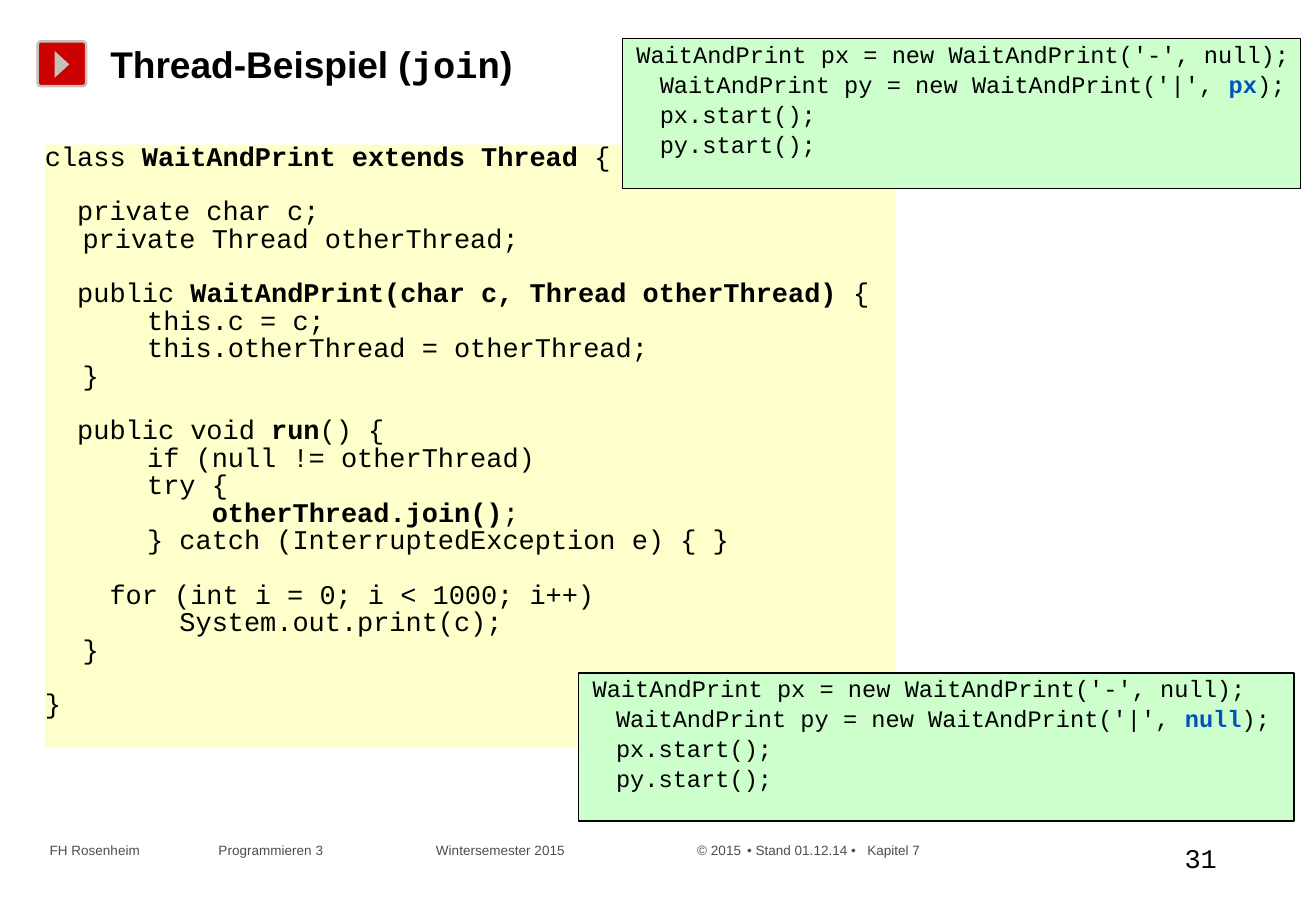
from lxml import etree
from pptx import Presentation
from pptx.dml.color import RGBColor
from pptx.enum.shapes import MSO_SHAPE
from pptx.enum.text import MSO_ANCHOR, PP_ALIGN
from pptx.oxml.ns import qn
from pptx.util import Emu, Pt

RECTANGLE, ROUNDED = MSO_SHAPE.RECTANGLE, MSO_SHAPE.ROUNDED_RECTANGLE
TOP, MIDDLE = MSO_ANCHOR.TOP, MSO_ANCHOR.MIDDLE
LEFT = PP_ALIGN.LEFT
PX = 9144
SANS, MONO = "Arial", "Courier New"
BLACK, GREY, BLUE = "000000", "4D4D4D", "0052BA"
RED, SILVER, YELLOW, GREEN = "CC0000", "C5C1B9", "FFFF99", "CCFFCC"
HANGING = 31

TITLE = [("Thread-Beispiel (", SANS), ("join", MONO), (")", SANS)]
FOOTER = ["FH Rosenheim", "Programmieren 3", "Wintersemester 2015",
          "© 2015", "• Stand 01.12.14 •", "Kapitel 7"]
FOOTER_TABS = [139, 318, 533, 574, 673]
PAGE_NUMBER = "31"

CLASS_CODE = [
    [("class ", False), ("WaitAndPrint extends Thread ", True), ("{", False)],
    [("  private char c;\nprivate Thread otherThread;", False)],
    [("  public ", False), ("WaitAndPrint(char c, Thread otherThread)", True),
     (" {\n    this.c = c;\n    this.otherThread = otherThread;\n}", False)],
    [("  public void ", False), ("run", True),
     ("() {\n    if (null != otherThread)\n    try {\n        ", False),
     ("otherThread.join()", True),
     (";\n    } catch (InterruptedException e) { }", False)],
    [("    for (int i = 0; i < 1000; i++)\n      System.out.print(c);\n}", False)],
    [("}", False)],
]
CALLS = [((476, 554, 589, 122), "null"), ((512, 32, 558, 123), "px")]


def color(value):
    return RGBColor.from_string(value)


def paint(shape, fill, line=None, width=0.75):
    shape.shadow.inherit = False
    shape.fill.solid()
    shape.fill.fore_color.rgb = color(fill)
    if line:
        shape.line.color.rgb = color(line)
        shape.line.width = Pt(width)
    else:
        shape.line.fill.background()
    return shape


def add_block(kind, at, fill, line=None, width=0.75):
    return paint(page.shapes.add_shape(kind, *(Emu(v * PX) for v in at)), fill, line, width)


def add_text(para, text, font, size, ink=BLACK, bold=False):
    for number, piece in enumerate(text.split("\n")):
        if number:
            para.add_line_break()
        if piece:
            span = para.add_run()
            span.text = piece
            span.font.name, span.font.size = font, Pt(size)
            span.font.bold = bold
            span.font.color.rgb = color(ink)


def add_label(at, anchor=TOP):
    box = page.shapes.add_textbox(*(Emu(v * PX) for v in at))
    box.text_frame.word_wrap = True
    box.text_frame.vertical_anchor = anchor
    return box.text_frame.paragraphs[0]


def fill_code(shape, paragraphs, size, spacing):
    frame = shape.text_frame
    frame.word_wrap = True
    frame.vertical_anchor = TOP
    frame.margin_left = frame.margin_right = frame.margin_top = frame.margin_bottom = 0
    for number, spans in enumerate(paragraphs):
        para = frame.add_paragraph() if number else frame.paragraphs[0]
        para.alignment = LEFT
        para.line_spacing = spacing
        if number:
            para.space_before = Pt(size)
        properties = para._p.get_or_add_pPr()
        properties.set("marL", str(HANGING * PX))
        properties.set("indent", str(-HANGING * PX))
        for text, bold, ink in spans:
            add_text(para, text, MONO, size, ink, bold)


deck = Presentation()
deck.slide_width, deck.slide_height = Emu(1083 * PX), Emu(750 * PX)
page = deck.slides.add_slide(deck.slide_layouts[6])

badge = add_block(ROUNDED, (31, 34, 40, 37), RED, SILVER, 1.5)
badge.adjustments[0] = 0.08
outline = page.shapes.build_freeform(57, 53, scale=PX)
outline.add_line_segments([(45, 42), (45, 64)], close=True)
paint(outline.convert_to_shape(), SILVER)

add_text(add_label((965, 688, 94, 41)), PAGE_NUMBER, MONO, 16)

footer = add_label((31, 688, 1027, 24))
stops = etree.SubElement(footer._p.get_or_add_pPr(), qn("a:tabLst"))
for position in FOOTER_TABS:
    etree.SubElement(stops, qn("a:tab"), pos=str(position * PX), algn="l")
add_text(footer, "\t".join(FOOTER), SANS, 8, GREY)

listing = add_block(RECTANGLE, (37, 119, 700, 497), YELLOW)
tint = listing._element.spPr.find(qn("a:solidFill"))[0]
etree.SubElement(tint, qn("a:alpha"), val="50000")
fill_code(listing, [[(text, bold, BLACK) for text, bold in spans] for spans in CLASS_CODE],
          16, 0.85)

title = add_label((81, 29, 625, 47), MIDDLE)
for text, font in TITLE:
    add_text(title, text, font, 22, bold=True)

for at, argument in CALLS:
    call = [(" WaitAndPrint px = new WaitAndPrint('-', null);\n"
             "WaitAndPrint py = new WaitAndPrint('|', ", False, BLACK),
            (argument, True, BLUE),
            (");\npx.start();\npy.start();", False, BLACK)]
    fill_code(add_block(RECTANGLE, at, GREEN, BLACK), [call], 14, 1.05)

deck.save("out.pptx")
